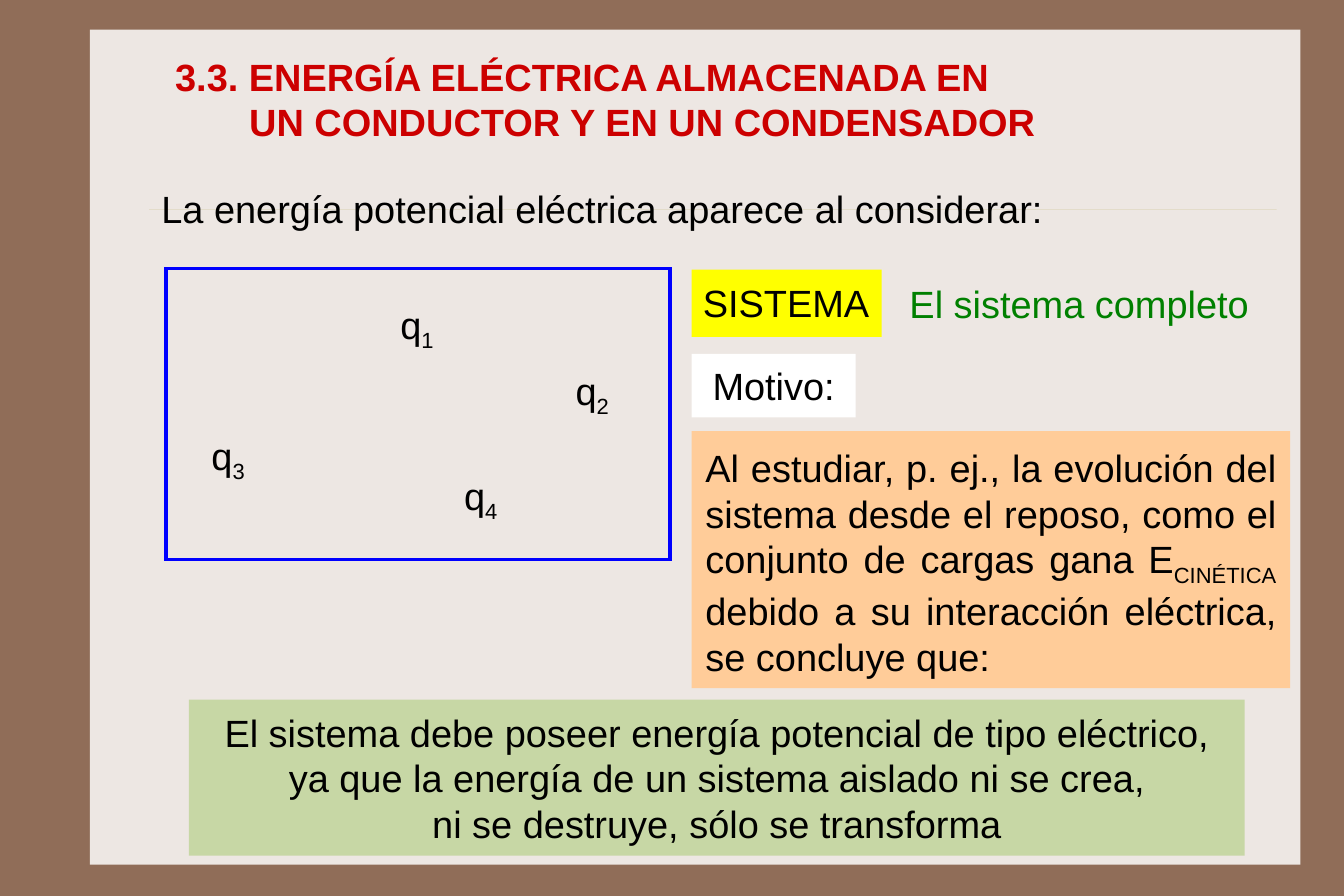
from dataclasses import dataclass

from lxml import etree
from pptx import Presentation
from pptx import util as u
from pptx.dml import color
from pptx.enum import shapes, text
from pptx.oxml import ns
from pptx.slide import Slide

ALIGN = text.PP_ALIGN
ANCHOR = text.MSO_ANCHOR


@dataclass(frozen=True)
class Theme:
    font: str = "Arial"
    size: int = 24
    edge: str = "906D58"
    page: str = "EDE7E3"
    rule: str = "CBBD83"
    head: str = "CC0000"
    ink: str = "000000"
    frame: str = "0000FF"
    green: str = "008000"
    yellow: str = "FFFF00"
    white: str = "FFFFFF"
    peach: str = "FFCC99"
    lime: str = "C7D7A5"


@dataclass(frozen=True)
class Box:
    """A text block; in each line every second piece is a subscript."""
    at: tuple[float, float, float, float]
    lines: tuple[tuple[str, ...], ...]
    pad: tuple[float, float] = (0.1, 0.05)
    fill: str | None = None
    ink: str = Theme.ink
    align: ALIGN = ALIGN.LEFT
    anchor: ANCHOR = ANCHOR.TOP
    wrap: bool = True
    bold: bool = False


@dataclass(frozen=True)
class Charge:
    name: str
    left: float
    top: float


THEME = Theme()

TITLE = Box((1.43, 0.41, 9.46, 0.92),
            (("3.3. ENERGÍA ELÉCTRICA ALMACENADA EN",),
             ("UN CONDUCTOR Y EN UN CONDENSADOR",)),
            pad=(0.11, 0.05), ink=THEME.head, anchor=ANCHOR.MIDDLE, bold=True)

CHARGES = (Charge("1", 3.42, 2.6), Charge("2", 4.96, 3.18),
           Charge("3", 1.76, 3.75), Charge("4", 3.98, 4.1))

BOXES = (
    Box((1.32, 1.58, 8.03, 0.5),
        (("La energía potencial eléctrica aparece al considerar:",),)),
    Box((6.08, 2.37, 1.67, 0.59), (("SISTEMA",),), pad=(0.1, 0.09),
        fill=THEME.yellow, wrap=False),
    Box((7.63, 2.38, 3.71, 0.59), (("El sistema completo",),),
        pad=(0.1, 0.09), ink=THEME.green, align=ALIGN.CENTER),
    Box((6.08, 3.79, 5.26, 2.26),
        (("Al estudiar, p. ej., la evolución del sistema desde el reposo, "
          "como el conjunto de cargas gana E", "CINÉTICA",
          " debido a su interacción eléctrica, se concluye que:"),),
        pad=(0.12, 0.12), fill=THEME.peach, align=ALIGN.JUSTIFY),
    Box((1.66, 6.15, 9.28, 1.37),
        (("El sistema debe poseer energía potencial de tipo eléctrico, "
          "ya que la energía de un sistema aislado ni se crea,",),
         ("ni se destruye, sólo se transforma",)),
        pad=(0.12, 0.08), fill=THEME.lime, align=ALIGN.CENTER,
        anchor=ANCHOR.MIDDLE),
    Box((6.08, 3.11, 1.44, 0.56), (("Motivo:",),), pad=(0.08, 0.08),
        fill=THEME.white, align=ALIGN.CENTER, anchor=ANCHOR.MIDDLE),
)


def rgb(code: str) -> color.RGBColor:
    return color.RGBColor.from_string(code)


def write(frame, box: Box) -> None:
    frame.word_wrap = box.wrap
    frame.auto_size = text.MSO_AUTO_SIZE.NONE
    frame.vertical_anchor = box.anchor
    frame.margin_left = frame.margin_right = u.Inches(box.pad[0])
    frame.margin_top = frame.margin_bottom = u.Inches(box.pad[1])
    frame.text = "\n".join(line[0] for line in box.lines)
    for para, line in zip(frame.paragraphs, box.lines):
        para.alignment = box.align
        for piece in line[1:]:
            para.add_run().text = piece
        for i, run in enumerate(para.runs):
            run.font.name = THEME.font
            run.font.size = u.Pt(THEME.size)
            run.font.bold = box.bold
            run.font.color.rgb = rgb(box.ink)
            if i % 2:
                run.font._element.set("baseline", "-25000")


def add_title(slide: Slide) -> None:
    title = slide.shapes.title
    title.left, title.top, title.width, title.height = map(u.Inches, TITLE.at)
    write(title.text_frame, TITLE)
    props = title.text_frame.paragraphs[1]._p.get_or_add_pPr()
    props.set("marL", str(u.Inches(0.65)))
    props.set("indent", "0")


def add_rect(slide: Slide, at: tuple[float, float, float, float],
             fill: str | None = None, line: str | None = None):
    rect = slide.shapes.add_shape(shapes.MSO_SHAPE.RECTANGLE,
                                  *map(u.Inches, at))
    rect.shadow.inherit = False
    if fill:
        rect.fill.solid()
        rect.fill.fore_color.rgb = rgb(fill)
    else:
        rect.fill.background()
    if line:
        rect.line.color.rgb = rgb(line)
        rect.line.width = u.Pt(2)
        etree.SubElement(rect.line._ln, ns.qn("a:miter"), lim="800000")
    else:
        rect.line.fill.background()
    return rect


def add_rule(slide: Slide) -> None:
    rule = slide.shapes.add_connector(
        shapes.MSO_CONNECTOR.STRAIGHT,
        *map(u.Inches, (1.31, 1.84, 11.22, 1.84)))
    rule.line.color.rgb = rgb(THEME.rule)
    rule.line.width = u.Pt(0.25)
    tint = rule.line._ln.find(".//" + ns.qn("a:srgbClr"))
    etree.SubElement(tint, ns.qn("a:alpha"), val="40000")
    etree.SubElement(rule._element.spPr, ns.qn("a:effectLst"))


def add_box(slide: Slide, box: Box) -> None:
    if box.fill:
        shape = add_rect(slide, box.at, box.fill)
    else:
        shape = slide.shapes.add_textbox(*map(u.Inches, box.at))
    write(shape.text_frame, box)


def add_system(slide: Slide) -> None:
    """Draw the framed set of point charges."""
    for charge in CHARGES:
        add_box(slide, Box((charge.left, charge.top, 0.51, 0.51),
                           (("q", charge.name),), wrap=False))
    add_rect(slide, (1.46, 2.36, 4.43, 2.56), line=THEME.frame)


def main() -> None:
    deck = Presentation()
    deck.slide_height = u.Inches(63 / 8)
    deck.slide_width = deck.slide_height * 3 // 2
    slide = deck.slides.add_slide(deck.slide_layouts.get_by_name("Title Only"))
    slide.background.fill.solid()
    slide.background.fill.fore_color.rgb = rgb(THEME.edge)
    page = add_rect(slide, (0.79, 0.26, 10.64, 7.34), THEME.page)
    slide.shapes.title._element.addprevious(page._element)
    add_title(slide)
    add_rule(slide)
    add_system(slide)
    for box in BOXES:
        add_box(slide, box)
    deck.save("out.pptx")


if __name__ == "__main__":
    main()
